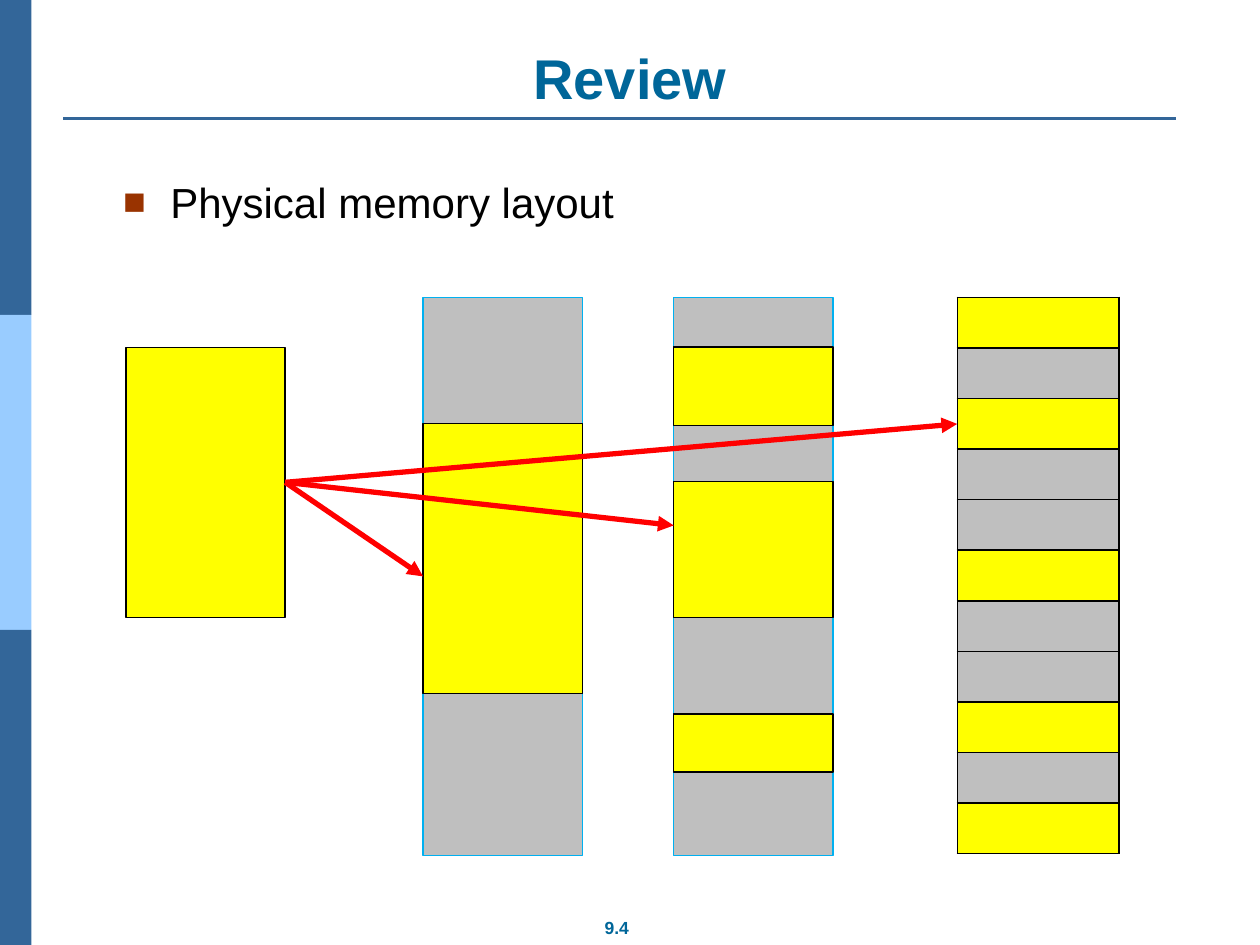
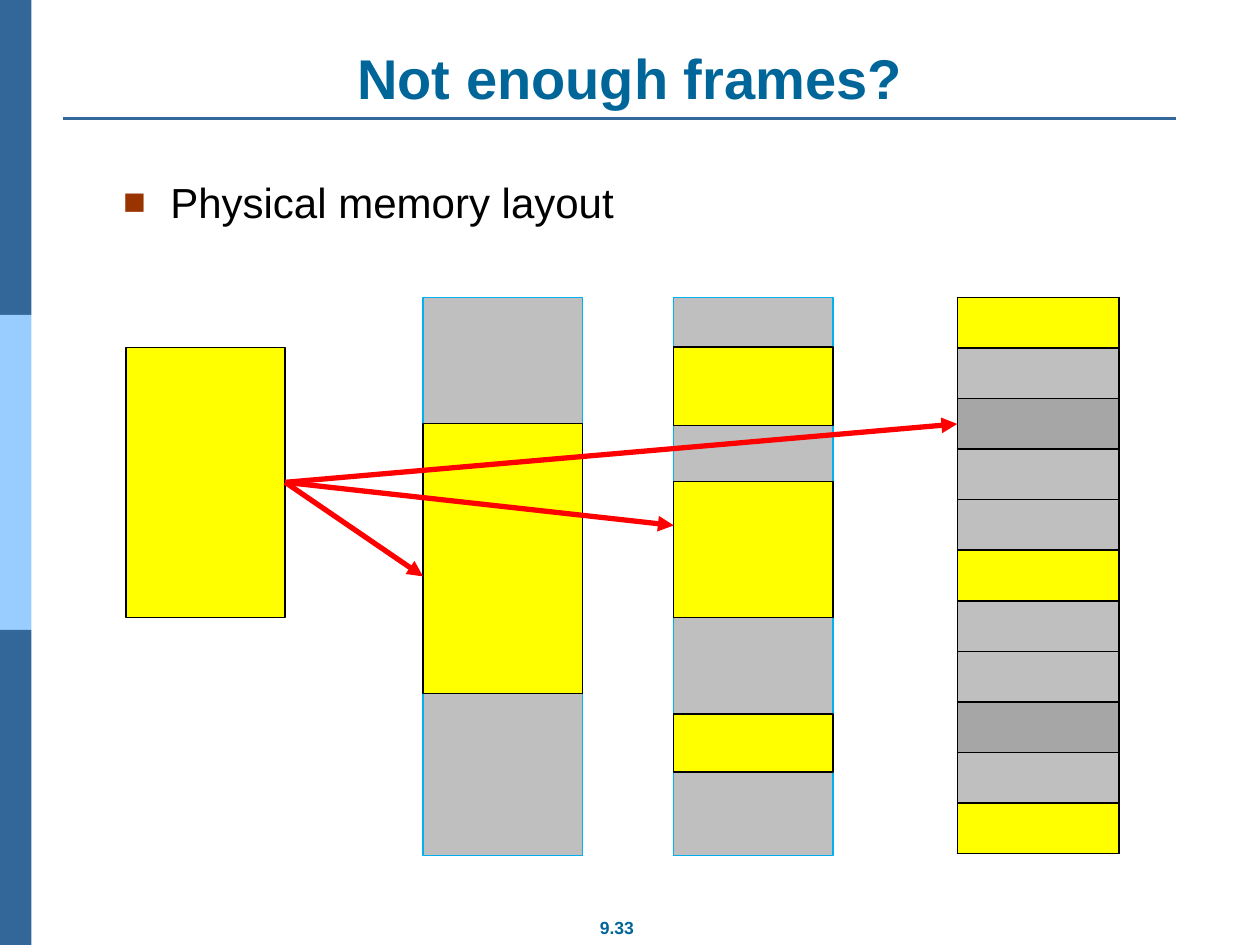
from lxml import etree
from pptx import Presentation
from pptx.dml.color import RGBColor
from pptx.enum.shapes import MSO_CONNECTOR as Connector, MSO_SHAPE as Preset
from pptx.enum.text import MSO_ANCHOR as Anchor, MSO_AUTO_SIZE as AutoSize, PP_ALIGN as Align
from pptx.oxml import parse_xml
from pptx.oxml.ns import nsdecls, qn
from pptx.util import Pt

FONT = "Arial"
COLORS = {
    "band": "336699",
    "band_light": "99CCFF",
    "heading": "006699",
    "text": "000000",
    "bullet": "993300",
    "process": "FFFF00",
    "memory": "BFBFBF",
    "missing": "A6A6A6",
    "memory_edge": "00B0F0",
    "edge": "000000",
    "arrow": "FF0000",
}
RIGHT_SIDE, LEFT_SIDE = 3, 1

BLOCK_WIDTH = 91
MEMORY_TOP, MEMORY_HEIGHT = 170, 318.75
CONTIGUOUS_LEFT, SEGMENTED_LEFT = 241.75, 385
CONTIGUOUS_BLOCKS = [(242, 154.5)]
SEGMENTED_BLOCKS = [(198.25, 44.75), (275.25, 77.5), (408, 33.25)]
FRAMES_LEFT, FRAME_WIDTH, FRAME_HEIGHT = 547, 92.5, 28.9
FRAME_COUNT = 11
ARROW_FRAME = 2


def rgb(name):
    return RGBColor.from_string(COLORS[name])


def add_rectangle(slide, left, top, width, height, fill, edge=None):
    shape = slide.shapes.add_shape(Preset.RECTANGLE, Pt(left), Pt(top), Pt(width), Pt(height))
    shape.shadow.inherit = False
    shape.fill.solid()
    shape.fill.fore_color.rgb = rgb(fill)
    if edge:
        shape.line.color.rgb = rgb(edge)
        shape.line.width = Pt(0.75)
    else:
        shape.line.fill.background()
    return shape


def add_line(slide, start, end, color, width):
    line = slide.shapes.add_connector(Connector.STRAIGHT, *map(Pt, start + end))
    line.line.color.rgb = rgb(color)
    line.line.width = Pt(width)
    etree.SubElement(line._element.spPr, qn("a:effectLst"))
    return line


def add_arrow(slide, process, end):
    """Draw an arrow from the right side of the process block to a point."""
    start = (process.left.pt + process.width.pt, process.top.pt + process.height.pt / 2)
    arrow = add_line(slide, start, end, "arrow", 3)
    arrow.begin_connect(process, RIGHT_SIDE)
    etree.SubElement(arrow.line._get_or_add_ln(), qn("a:tailEnd"), type="triangle")
    return arrow


def add_text(slide, text, left, top, width, height, size, color, bold=False, align=Align.CENTER):
    box = slide.shapes.add_textbox(Pt(left), Pt(top), Pt(width), Pt(height))
    frame = box.text_frame
    frame.word_wrap = True
    frame.text = text
    paragraph = frame.paragraphs[0]
    paragraph.alignment = align
    font = paragraph.runs[0].font
    font.name, font.size, font.bold = FONT, Pt(size), bold
    font.color.rgb = rgb(color)
    return frame


def add_bullet(paragraph, indent=27):
    properties = paragraph._p.get_or_add_pPr()
    properties.set("marL", str(Pt(indent)))
    properties.set("indent", str(-Pt(indent)))
    color = etree.SubElement(properties, qn("a:buClr"))
    etree.SubElement(color, qn("a:srgbClr"), val=COLORS["bullet"])
    etree.SubElement(properties, qn("a:buSzPct"), val="90000")
    etree.SubElement(properties, qn("a:buFont"), typeface=FONT)
    etree.SubElement(properties, qn("a:buChar"), char="■")


def add_slide_frame(presentation, title, number):
    """Add a slide with the side bands, title, rule and slide number."""
    slide = presentation.slides.add_slide(presentation.slide_layouts[6])
    for index, color in enumerate(("band", "band_light", "band")):
        add_rectangle(slide, 0, index * 180, 18, 180, color)
    add_line(slide, (36, 67.75), (672, 67.75), "band", 1.5)
    footer = add_text(slide, number, 334.75, 520.5, 35.5, 19.5, 10, "heading", bold=True)
    footer.word_wrap = False
    footer.auto_size = AutoSize.SHAPE_TO_FIT_TEXT
    heading = add_text(slide, title, 36, 21.75, 648, 45, 32, "heading", bold=True)
    heading.vertical_anchor = Anchor.BOTTOM
    return slide


def add_memory(slide, left, blocks):
    """Add a memory column holding process blocks, each given as (top, height)."""
    memory = add_rectangle(slide, left, MEMORY_TOP, BLOCK_WIDTH, MEMORY_HEIGHT,
                           "memory", "memory_edge")
    for top, height in blocks:
        add_rectangle(slide, left, top, BLOCK_WIDTH, height, "process", "edge")
    return memory


def set_borders(cell, color, width):
    properties = cell._tc.get_or_add_tcPr()
    for index, side in enumerate(("lnL", "lnR", "lnT", "lnB")):
        properties.insert(index, parse_xml(
            f'<a:{side} {nsdecls("a")} w="{Pt(width)}"><a:solidFill>'
            f'<a:srgbClr val="{COLORS[color]}"/></a:solidFill></a:{side}>'))


def add_frames(slide, frame_fills):
    """Add the paged memory table; frames not in frame_fills are plain memory."""
    table = slide.shapes.add_table(FRAME_COUNT, 1, Pt(FRAMES_LEFT), Pt(MEMORY_TOP),
                                   Pt(FRAME_WIDTH), Pt(FRAME_HEIGHT * FRAME_COUNT)).table
    table.first_row = table.horz_banding = False
    for index, row in enumerate(table.rows):
        row.height = Pt(FRAME_HEIGHT)
        cell = row.cells[0]
        cell.fill.solid()
        cell.fill.fore_color.rgb = rgb(frame_fills.get(index, "memory"))
        set_borders(cell, "edge", 1)


def add_layout_slide(presentation, title, number, frame_fills):
    slide = add_slide_frame(presentation, title, number)
    body = add_text(slide, "Physical memory layout", 63.25, 97.25, 559.5, 39, 24, "text",
                    align=Align.LEFT)
    add_bullet(body.paragraphs[0])

    contiguous = add_memory(slide, CONTIGUOUS_LEFT, CONTIGUOUS_BLOCKS)
    process = add_rectangle(slide, 72, 198.5, BLOCK_WIDTH, 154.25, "process", "edge")
    add_memory(slide, SEGMENTED_LEFT, SEGMENTED_BLOCKS)
    add_frames(slide, frame_fills)

    memory_middle = MEMORY_TOP + MEMORY_HEIGHT / 2
    arrow = add_arrow(slide, process, (CONTIGUOUS_LEFT, memory_middle))
    arrow.end_connect(contiguous, LEFT_SIDE)
    add_arrow(slide, process, (SEGMENTED_LEFT, 300.25))
    frame_middle = MEMORY_TOP + (ARROW_FRAME + 0.5) * FRAME_HEIGHT
    add_arrow(slide, process, (FRAMES_LEFT, frame_middle))


def main():
    presentation = Presentation()
    presentation.slide_width, presentation.slide_height = Pt(720), Pt(540)
    loaded = dict.fromkeys((0, 2, 5, 8, 10), "process")
    add_layout_slide(presentation, "Review", "9.4", loaded)
    add_layout_slide(presentation, "Not enough frames?", "9.33",
                     {**loaded, 2: "missing", 8: "missing"})
    presentation.save("out.pptx")


if __name__ == "__main__":
    main()
